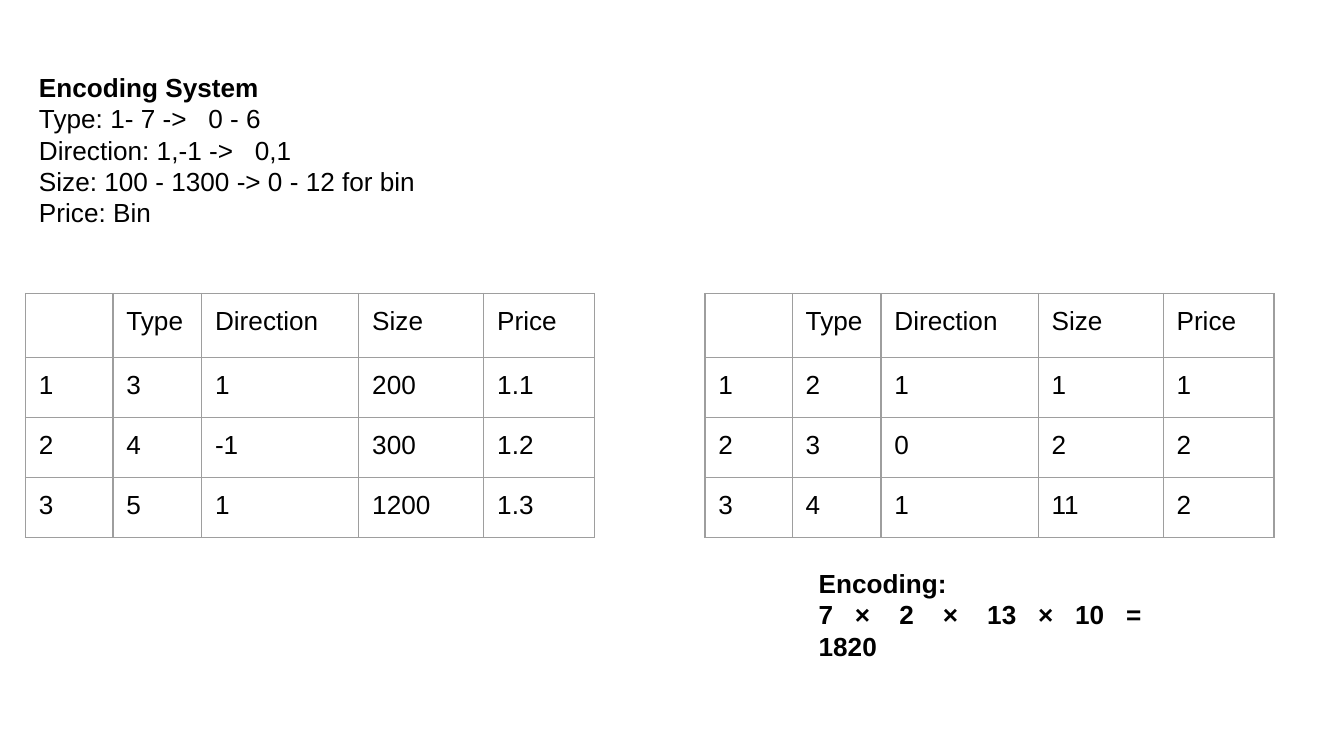
from lxml import etree
from pptx import Presentation
from pptx.dml.color import RGBColor
from pptx.enum.text import MSO_ANCHOR, MSO_AUTO_SIZE, PP_ALIGN
from pptx.oxml.ns import qn
from pptx.util import Inches, Pt

TOP = MSO_ANCHOR.TOP
NO_FIT = MSO_AUTO_SIZE.NONE
LEFT = PP_ALIGN.LEFT

THEME = {
    "font": {"name": "Arial", "size": Pt(14)},
    "ink": RGBColor(0, 0, 0),
    "border": "9E9E9E",
    "border_width": Pt(0.75),
    "inset": Inches(0.1),
}
SIDES = ("left", "right", "top", "bottom")

deck = Presentation()
deck.slide_width = Inches(10)
deck.slide_height = deck.slide_width * 9 // 16
UNIT = deck.slide_width / 100  # the grid is a hundred columns wide


def grid(*units):
    return [round(unit * UNIT) for unit in units]


def write(para, text, bold=False):
    para.alignment = LEFT
    span = para.add_run()
    span.text = text
    for name, value in {**THEME["font"], "bold": bold}.items():
        setattr(span.font, name, value)
    span.font.color.rgb = THEME["ink"]


page = deck.slides.add_slide(deck.slide_layouts[1])
title, rules_box = page.placeholders
title.element.getparent().remove(title.element)

# Tables: raw orders on the left, encoded orders on the right
HEADINGS = ("", "Type", "Direction", "Size", "Price")
COLUMNS = grid(6.5, 6.6, 11.7, 9.3, 8.25)
ROWS = grid(4.77, 4.46, 4.46, 4.46)
TABLES = {
    1.9: [("1", "3", "1", "200", "1.1"),
          ("2", "4", "-1", "300", "1.2"),
          ("3", "5", "1", "1200", "1.3")],
    52.45: [("1", "2", "1", "1", "1"),
            ("2", "3", "0", "2", "2"),
            ("3", "4", "1", "11", "2")],
}
for left, orders in TABLES.items():
    frame = page.shapes.add_table(len(ROWS), len(COLUMNS), *grid(left, 21.83),
                                  sum(COLUMNS), sum(ROWS))
    table = frame.table
    table.first_row = table.horz_banding = False
    for column, width in zip(table.columns, COLUMNS):
        column.width = width
    for row, height, values in zip(table.rows, ROWS, [HEADINGS, *orders]):
        row.height = height
        for cell, value in zip(row.cells, values):
            for side in SIDES:
                setattr(cell, f"margin_{side}", THEME["inset"])
            cell.vertical_anchor = TOP
            para = cell.text_frame.paragraphs[0]
            if value:
                write(para, value)
            else:  # keep the empty corner from stretching its row
                size = round(THEME["font"]["size"].pt * 100)
                etree.SubElement(para._p, qn("a:endParaRPr"), sz=str(size))
            # Cell borders come before the fill in the XML
            properties = cell._tc.get_or_add_tcPr()
            for edge in ("lnL", "lnR", "lnT", "lnB"):
                line = etree.SubElement(properties, qn(f"a:{edge}"),
                                        w=str(THEME["border_width"]))
                fill = etree.SubElement(line, qn("a:solidFill"))
                etree.SubElement(fill, qn("a:srgbClr"), val=THEME["border"])
            cell.fill.background()

# Text blocks: encoding rules above, number of codes below
result_box = page.shapes.add_textbox(0, 0, 0, 0)
BLOCKS = [
    (rules_box, (1.9, 4.3, 56, 13.1),
     [("Encoding System", True),
      ("Type: 1- 7 ->   0 - 6", False),
      ("Direction: 1,-1 ->   0,1", False),
      ("Size: 100 - 1300 -> 0 - 12 for bin", False),
      ("Price: Bin", False)]),
    (result_box, (59.93, 41.2, 31.2, 6.2),
     [("Encoding:", True),
      ("7   ×    2    ×    13   ×   10   =  1820", True)]),
]
for box, place, lines in BLOCKS:
    box.left, box.top, box.width, box.height = grid(*place)
    frame = box.text_frame
    layout = {"word_wrap": True, "auto_size": NO_FIT, "vertical_anchor": TOP}
    layout.update({f"margin_{side}": THEME["inset"] for side in SIDES})
    for name, value in layout.items():
        setattr(frame, name, value)
    for number, (text, bold) in enumerate(lines):
        para = frame.add_paragraph() if number else frame.paragraphs[0]
        write(para, text, bold)
        para.space_before = Pt(0)
        # Plain lines without bullet or hanging indent
        properties = para._p.get_or_add_pPr()
        properties.set("marL", "0")
        properties.set("indent", "0")
        etree.SubElement(properties, qn("a:buNone"))

deck.save("out.pptx")
